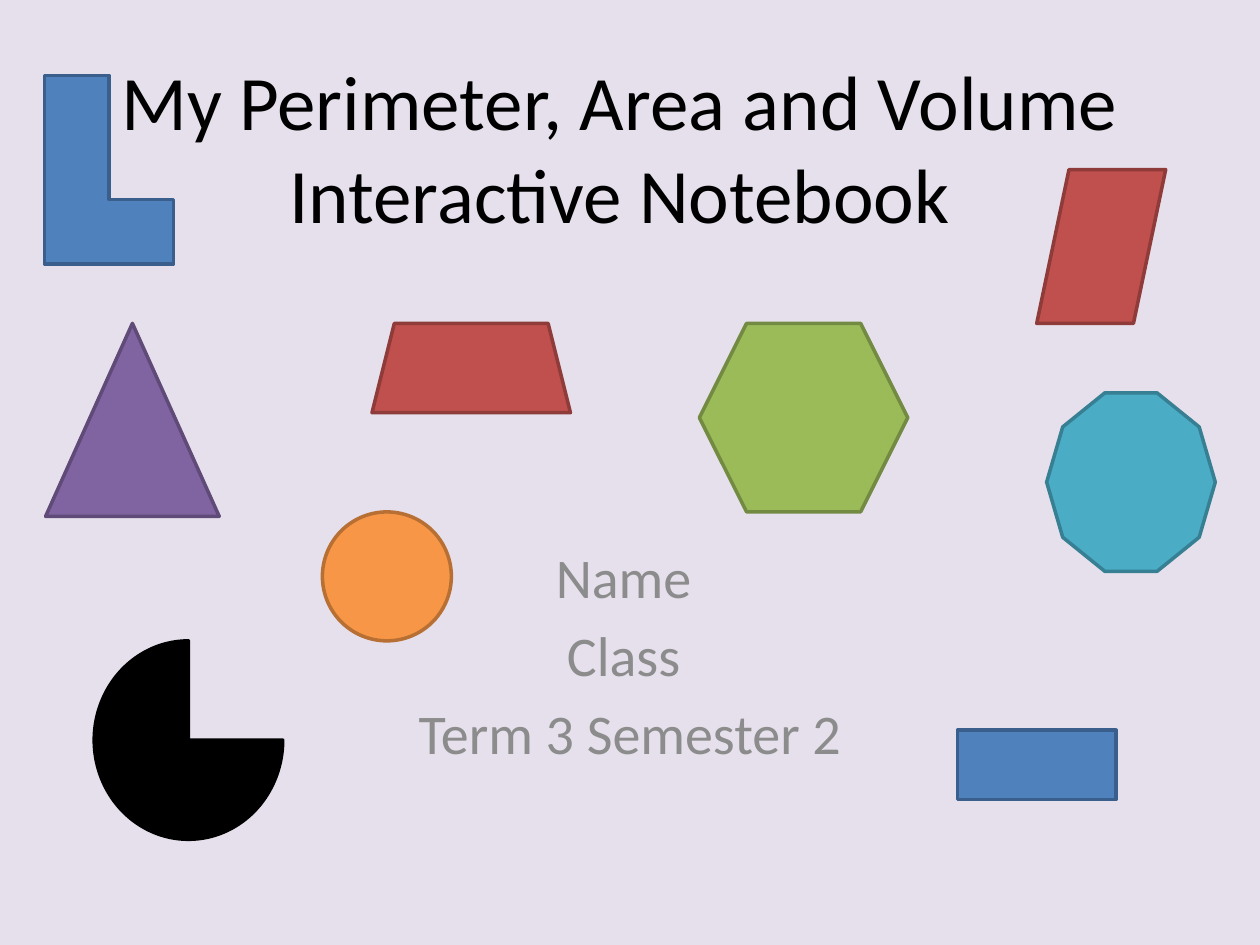
"""Build the cover slide of a maths notebook with a scatter of plane shapes."""
from pptx import Presentation
from pptx import util as u
from pptx.dml.color import RGBColor
from pptx.enum import shapes, text

LILAC = RGBColor(0xE6, 0xE0, 0xEC)
BLACK = RGBColor(0, 0, 0)
GREY = RGBColor(0x8C, 0x8C, 0x8C)
BLUE = RGBColor(0x4F, 0x81, 0xBD), RGBColor(0x3A, 0x5F, 0x8C)
RED = RGBColor(0xC0, 0x50, 0x4D), RGBColor(0x8E, 0x3B, 0x39)
GREEN = RGBColor(0x9B, 0xBB, 0x59), RGBColor(0x73, 0x8A, 0x42)
PURPLE = RGBColor(0x80, 0x64, 0xA2), RGBColor(0x5F, 0x4A, 0x78)
TEAL = RGBColor(0x4B, 0xAC, 0xC6), RGBColor(0x37, 0x7F, 0x92)
ORANGE = RGBColor(0xF7, 0x96, 0x46), RGBColor(0xB7, 0x6F, 0x34)
DARK = BLACK, BLACK
KIND = shapes.MSO_SHAPE


class Cover:
    font = "Calibri"
    edge = u.Pt(2)

    def __init__(self, deck):
        self.slide = deck.slides.add_slide(deck.slide_layouts[0])
        fill = self.slide.background.fill
        fill.solid()
        fill.fore_color.rgb = LILAC

    def label(self, idx, lines, box, size, color):
        hold = self.slide.placeholders[idx]
        hold.left, hold.top, hold.width, hold.height = map(u.Cm, box)
        hold.text_frame.text = "\n".join(lines)
        for para in hold.text_frame.paragraphs:
            para.alignment = text.PP_ALIGN.CENTER
            para.font.name = self.font
            para.font.size = u.Pt(size)
            para.font.color.rgb = color

    def draw(self, kind, box, paint):
        shape = self.slide.shapes.add_shape(kind, *map(u.Cm, box))
        shape.shadow.inherit = False
        shape.fill.solid()
        shape.fill.fore_color.rgb, shape.line.color.rgb = paint
        shape.line.width = self.edge


def main():
    deck = Presentation()
    deck.slide_width, deck.slide_height = u.Cm(25.4), u.Cm(19.05)
    cover = Cover(deck)
    cover.label(0, ["My Perimeter, Area and Volume Interactive Notebook"],
                (1.7, 0.91, 21.59, 4.08), 44, BLACK)
    cover.label(1, ["Name ", "Class ", "Term 3 Semester 2"],
                (3.81, 10.8, 17.78, 4.87), 32, GREY)
    for kind, box, paint in (
        (KIND.ISOSCELES_TRIANGLE, (0.92, 6.52, 3.5, 3.89), PURPLE),
        (KIND.TRAPEZOID, (7.5, 6.52, 4, 1.8), RED),
        (KIND.HEXAGON, (14.1, 6.52, 4.2, 3.8), GREEN),
        (KIND.DECAGON, (21.1, 7.92, 3.4, 3.6), TEAL),
        (KIND.PIE, (1.9, 12.92, 3.8, 4), DARK),
        (KIND.RECTANGLE, (19.3, 14.72, 3.2, 1.4), BLUE),
        (KIND.CORNER, (0.9, 1.52, 2.6, 3.8), BLUE),
        (KIND.PARALLELOGRAM, (20.9, 3.42, 2.6, 3.1), RED),
        (KIND.OVAL, (6.5, 10.32, 2.6, 2.6), ORANGE),
    ):
        cover.draw(kind, box, paint)
    deck.save("out.pptx")


if __name__ == "__main__":
    main()
